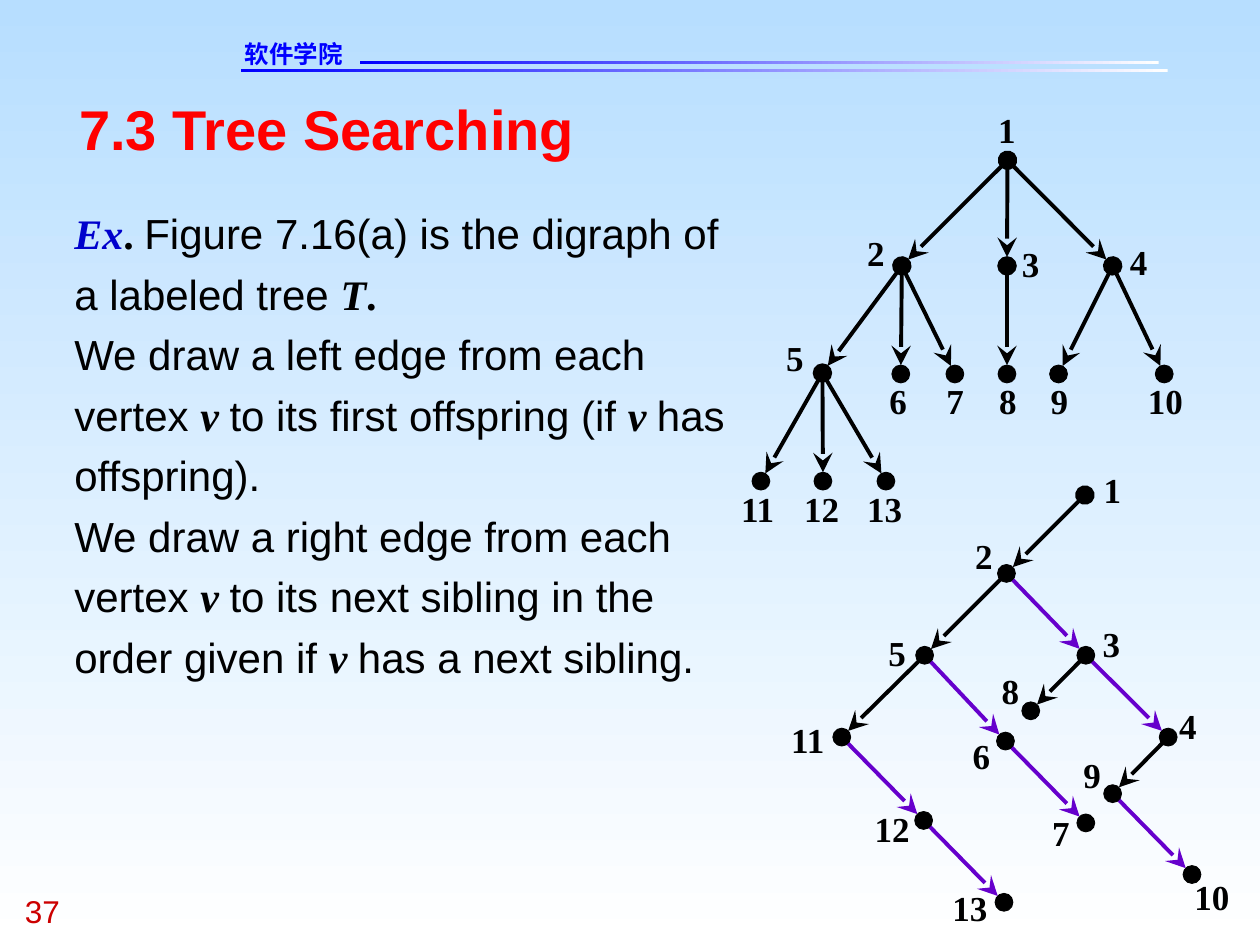
from math import hypot

from lxml import etree
from pptx import Presentation
from pptx.dml.color import RGBColor
from pptx.enum.shapes import MSO_CONNECTOR, MSO_SHAPE
from pptx.oxml.ns import qn
from pptx.util import Cm, Pt

STRAIGHT = MSO_CONNECTOR.STRAIGHT
RECTANGLE = MSO_SHAPE.RECTANGLE
OVAL = MSO_SHAPE.OVAL

COLORS = {
    "sky": "B7DEFF", "white": "FFFFFF", "black": "000000", "blue": "0000FF",
    "navy": "0000CC", "red": "FF0000", "crimson": "CC0000", "violet": "6600CC",
}
SANS, SERIF, CHINESE = "Arial", "Times New Roman", "DejaVu Sans"

DOT = 0.36
EDGE_GAP = 0.18  # an arrow stops this far before the centre of its vertex
DIGIT_WIDTH, LABEL_HEIGHT = 0.36, 0.84

# Label: (centre x, centre y, label left, label top), all in cm
DIGRAPH = {
    1: (20.31, 3.23, 20.12, 2.18),
    2: (18.18, 5.36, 17.48, 4.67),
    3: (20.3, 5.36, 20.6, 4.88),
    4: (22.43, 5.36, 22.78, 4.85),
    5: (16.58, 7.52, 15.85, 6.78),
    6: (18.16, 7.54, 17.93, 7.65),
    7: (19.25, 7.54, 19.08, 7.65),
    8: (20.3, 7.54, 20.14, 7.65),
    9: (21.34, 7.54, 21.18, 7.65),
    10: (23.47, 7.54, 23.14, 7.65),
    11: (15.34, 9.7, 14.94, 9.83),
    12: (16.59, 9.7, 16.21, 9.83),
    13: (17.86, 9.7, 17.48, 9.83),
}
OFFSPRING = {1: (2, 3, 4), 2: (5, 6, 7), 3: (8,), 4: (10, 9), 5: (11, 12, 13)}

BINARY_TREE = {
    1: (21.87, 9.98, 22.25, 9.45),
    2: (20.29, 11.56, 19.66, 10.77),
    3: (21.89, 13.21, 22.23, 12.55),
    4: (23.55, 14.86, 23.77, 14.2),
    5: (18.64, 13.21, 17.91, 12.73),
    6: (20.27, 14.94, 19.61, 14.81),
    7: (21.89, 16.59, 21.21, 16.36),
    8: (20.78, 14.33, 20.19, 13.49),
    9: (22.43, 16, 21.84, 15.19),
    10: (24.03, 17.63, 24.08, 17.65),
    11: (16.97, 14.86, 15.95, 14.48),
    12: (18.62, 16.54, 17.63, 16.28),
    13: (20.24, 18.19, 19.2, 17.88),
}
FIRST_OFFSPRING = {1: 2, 2: 5, 3: 8, 4: 9, 5: 11}
NEXT_SIBLING = {2: 3, 3: 4, 5: 6, 6: 7, 9: 10, 11: 12, 12: 13}

# Runs are (text, style); styles are defined in STYLES
STYLES = {
    "plain": (SANS, False, False, "black"),
    "symbol": (SERIF, True, True, "black"),
    "stop": (SERIF, True, False, "black"),
    "example": (SERIF, True, True, "navy"),
}
BODY = [
    [("Ex", "example"), (". ", "stop"),
     ("Figure 7.16(a) is the digraph of a labeled tree ", "plain"),
     ("T", "symbol"), (".", "stop")],
    [("We draw a left edge from each vertex ", "plain"), ("v ", "symbol"),
     ("to its first offspring (if ", "plain"), ("v ", "symbol"),
     ("has offspring).", "plain")],
    [("We draw a right edge from each vertex ", "plain"), ("v ", "symbol"),
     ("to its next sibling in the order given if ", "plain"),
     ("v ", "symbol"), ("has a next sibling.", "plain")],
]


def rgb(name):
    return RGBColor.from_string(COLORS[name])


def fill_gradient(fill, start, end, angle):
    fill.gradient()
    fill.gradient_angle = angle
    for stop, color in zip(fill.gradient_stops, (start, end)):
        stop.color.rgb = rgb(color)


def style_font(font, size, name, color, bold=False, italic=False):
    font.size, font.name = Pt(size), name
    font.bold, font.italic = bold, italic
    font.color.rgb = rgb(color)


def add_frame(slide, left, top, width, height, wrap=True):
    """Add a text box without margins and return its text frame."""
    box = slide.shapes.add_textbox(Cm(left), Cm(top), Cm(width), Cm(height))
    frame = box.text_frame
    frame.word_wrap = wrap
    frame.margin_left = frame.margin_right = 0
    frame.margin_top = frame.margin_bottom = 0
    return frame


def add_line_of_text(slide, text, area, size, name, color, bold=False, wrap=True):
    frame = add_frame(slide, *area, wrap=wrap)
    frame.text = text
    run = frame.paragraphs[0].runs[0]
    style_font(run.font, size, name, color, bold)
    return run


def add_header_rule(slide, left, top, width):
    rule = slide.shapes.add_shape(RECTANGLE, Cm(left), Cm(top), Cm(width), Cm(0.06))
    rule.shadow.inherit = False
    rule.line.fill.background()
    fill_gradient(rule.fill, "white", "blue", 180)


def add_body(slide):
    frame = add_frame(slide, 1.5, 3.99, 13.34, 9.75)
    for index, pieces in enumerate(BODY):
        paragraph = frame.add_paragraph() if index else frame.paragraphs[0]
        paragraph.line_spacing = 1.2
        for text, style in pieces:
            run = paragraph.add_run()
            run.text = text
            name, bold, italic, color = STYLES[style]
            style_font(run.font, 24, name, color, bold, italic)


def add_edge(slide, parent, child, color="black", round_head=False):
    """Draw an arrow between two vertices, stopping short of the child."""
    (x1, y1), (x2, y2) = parent[:2], child[:2]
    part = 1 - EDGE_GAP / hypot(x2 - x1, y2 - y1)
    edge = slide.shapes.add_connector(
        STRAIGHT, Cm(x1), Cm(y1),
        Cm(x1 + part * (x2 - x1)), Cm(y1 + part * (y2 - y1)))
    edge.line.color.rgb = rgb(color)
    edge.line.width = Pt(2.25)
    properties = edge._element.spPr
    line = properties.find(qn("a:ln"))
    ends = [("a:headEnd", "oval")] if round_head else []
    for tag, kind in ends + [("a:tailEnd", "stealth")]:
        etree.SubElement(line, qn(tag), type=kind, w="lg", len="lg")
    etree.SubElement(properties, qn("a:effectLst"))


def add_dot(slide, x, y):
    dot = slide.shapes.add_shape(
        OVAL, Cm(x - DOT / 2), Cm(y - DOT / 2), Cm(DOT), Cm(DOT))
    dot.shadow.inherit = False
    dot.fill.solid()
    dot.fill.fore_color.rgb = rgb("black")
    dot.line.color.rgb = rgb("black")
    dot.line.width = Pt(0.5)


def add_vertices(slide, vertices, without_dot):
    """Label all vertices; those in without_dot get theirs from an edge's head."""
    for label, (x, y, left, top) in vertices.items():
        if label not in without_dot:
            add_dot(slide, x, y)
        text = str(label)
        area = (left, top, DIGIT_WIDTH * len(text), LABEL_HEIGHT)
        add_line_of_text(slide, text, area, 20, SERIF, "black", bold=True, wrap=False)


def add_digraph(slide):
    for parent, children in OFFSPRING.items():
        for child in children:
            add_edge(slide, DIGRAPH[parent], DIGRAPH[child],
                     round_head=child == children[0])
    add_vertices(slide, DIGRAPH, OFFSPRING)


def add_binary_tree(slide):
    for links, color in ((FIRST_OFFSPRING, "black"), (NEXT_SIBLING, "violet")):
        for start, end in links.items():
            add_edge(slide, BINARY_TREE[start], BINARY_TREE[end], color,
                     round_head=start == 1)
    add_vertices(slide, BINARY_TREE, {1})


def main():
    deck = Presentation()
    deck.slide_width, deck.slide_height = Cm(25.4), Cm(19.05)
    slide = deck.slides.add_slide(deck.slide_layouts[6])
    fill_gradient(slide.background.fill, "sky", "white", 270)

    add_header_rule(slide, 4.85, 1.4, 18.69)
    add_header_rule(slide, 7.26, 1.24, 16.1)
    school = add_line_of_text(slide, "软件学院", (4.93, 0.79, 3.68, 0.58),
                              14, CHINESE, "blue", bold=True)
    etree.SubElement(school.font._element, qn("a:ea"), typeface=CHINESE)
    add_line_of_text(slide, "37", (0.5, 17.98, 1.9, 0.76), 18, SANS, "crimson")
    add_line_of_text(slide, "7.3 Tree Searching", (1.6, 1.9, 22.23, 1.35),
                     32, SANS, "red", bold=True)
    add_body(slide)
    add_digraph(slide)
    add_binary_tree(slide)
    deck.save("out.pptx")


if __name__ == "__main__":
    main()
